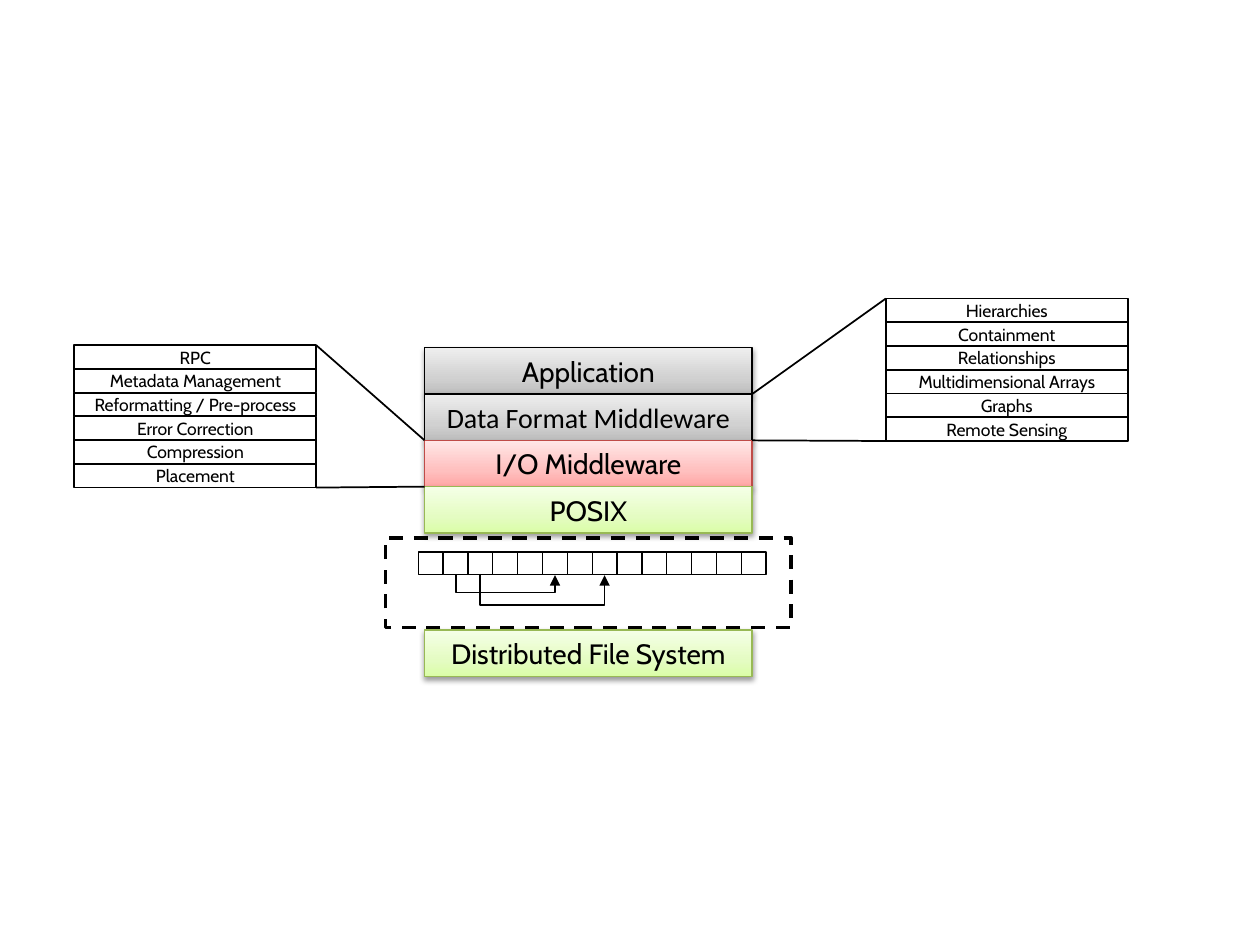
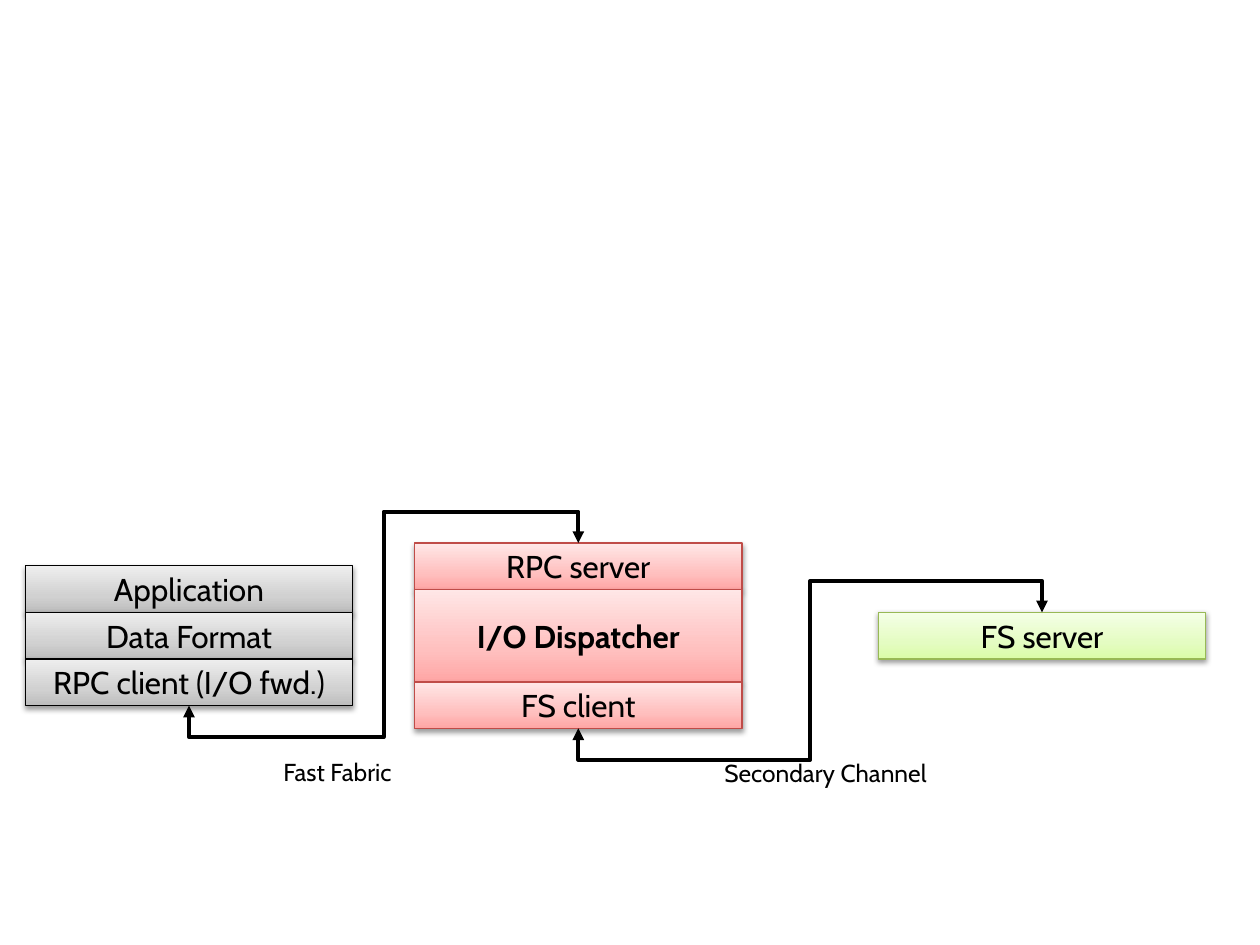
from collections import namedtuple
from copy import deepcopy

from pptx import Presentation
from pptx.dml.color import RGBColor as Rgb
from pptx.enum.dml import MSO_LINE as Dash
from pptx.enum.shapes import MSO_CONNECTOR as Link, MSO_SHAPE as Preset
from pptx.enum.text import MSO_ANCHOR as Anchor, PP_ALIGN as Align
from pptx.oxml.ns import qn
from pptx.oxml.xmlchemy import OxmlElement as Element
from pptx.util import Inches, Pt

COLUMNS, ROWS = 100, 75
UNIT = Inches(0.1)
FONT = "Cabin"
TOP, BOTTOM = 0, 2

COLOURS = {"ink": "000000", "paper": "FFFFFF", "red_edge": "BF4C48", "green_edge": "98B955"}
BLENDS = {
    "grey": ("BDBDBD", "D1D1D1", "EEEEEE"),
    "red": ("FFA6A5", "FFC0BF", "FFE7E7"),
    "green": ("DAFDA7", "E4FCC2", "F5FFE7"),
}
EDGES = {"grey": "ink", "red": "red_edge", "green": "green_edge"}
STOPS = (0, 0.35, 1)

Layer = namedtuple("Layer", "text blend font bold weight", defaults=(FONT, False, 1))


class Box(namedtuple("Box", "left top width height")):
    @property
    def right(self):
        return self.left + self.width

    @property
    def bottom(self):
        return self.top + self.height

    def inner(self, left, top, width, height):
        return Box(self.left + left, self.top + top, width, height)

    def split_rows(self, weights):
        unit = self.height / sum(weights)
        return [
            self.inner(0, unit * sum(weights[:i]), self.width, unit * weight)
            for i, weight in enumerate(weights)
        ]

    def split_columns(self, count):
        width = self.width / count
        return [self.inner(i * width, 0, width, self.height) for i in range(count)]


def grid(*lengths):
    return [round(length * UNIT) for length in lengths]


def ink(name):
    return Rgb.from_string(COLOURS[name])


def child(parent, tag, **attributes):
    element = Element(tag)
    for name, value in attributes.items():
        element.set(name, str(value))
    parent.append(element)
    return element


def set_line(shape, width, colour="ink"):
    shape.line.color.rgb = ink(colour)
    shape.line.width = Pt(width)


def write(shape, text, size, font=FONT, bold=False, align=Align.CENTER):
    para = shape.text_frame.paragraphs[0]
    para.text = text
    para.alignment = align
    para.font.name, para.font.size, para.font.bold = font, Pt(size), bold
    para.font.color.rgb = ink("ink")


def rectangle(page, box, line_width, fill="paper", edge="ink"):
    shape = page.shapes.add_shape(Preset.RECTANGLE, *grid(*box))
    shape.shadow.inherit = False
    shape.text_frame.vertical_anchor = Anchor.MIDDLE
    set_line(shape, line_width, edge)
    if fill:
        shape.fill.solid()
        shape.fill.fore_color.rgb = ink(fill)
    else:
        shape.fill.background()
    return shape


def shade(shape, blend):
    shape.fill.gradient()
    shape.fill.gradient_angle = 90
    stop_list = next(shape._element.spPr.iter(qn("a:gsLst")))
    stop_list.append(deepcopy(stop_list[0]))
    for stop, position, colour in zip(shape.fill.gradient_stops, STOPS, BLENDS[blend]):
        stop.position = position
        stop.color.rgb = Rgb.from_string(colour)


def drop_shadow(shape):
    effects = shape._element.spPr.find(qn("a:effectLst"))
    shadow = child(effects, "a:outerShdw", blurRad=Pt(3.1), dist=Pt(1.6), dir=5400000, rotWithShape=0)
    colour = child(shadow, "a:srgbClr", val=COLOURS["ink"])
    child(colour, "a:alpha", val=38000)


def stack(page, box, layers, size):
    shapes = []
    for layer, row in zip(layers, box.split_rows([layer.weight for layer in layers])):
        shape = rectangle(page, row, 0.75, edge=EDGES[layer.blend])
        shade(shape, layer.blend)
        drop_shadow(shape)
        write(shape, layer.text, size, layer.font, layer.bold)
        shapes.append(shape)
    return shapes


def finish_connector(connector, width, ends=()):
    set_line(connector, width)
    properties = connector._element.spPr
    for end in ends:
        child(properties.find(qn("a:ln")), f"a:{end}End", type="triangle")
    child(properties, "a:effectLst")


def straight(page, start, end):
    connector = page.shapes.add_connector(Link.STRAIGHT, *grid(*start, *end))
    finish_connector(connector, 1)


def elbow(page, source, target, sites, lead, width, ends):
    connector = page.shapes.add_connector(Link.ELBOW, 0, 0, 0, 0)
    connector.begin_connect(source, sites[0])
    connector.end_connect(target, sites[1])
    start_x, start_y = connector.begin_x, connector.begin_y
    end_x, end_y = connector.end_x, connector.end_y
    run, across = max(abs(end_y - start_y), Inches(0.01)), abs(end_x - start_x)
    share = lead * UNIT / run
    same_side = sites[0] == sites[1]
    bends = [share] if same_side else [-share, 0.5, 1 + share]

    connector.left = (start_x + end_x - run) // 2
    connector.top = (start_y + end_y - across) // 2
    connector.width, connector.height = run, across
    frame = connector._element.spPr.find(qn("a:xfrm"))
    frame.set("rot", "16200000")
    frame.set("flipH", "1")
    frame.set("flipV", "1" if end_x < start_x else "0")

    geometry = connector._element.spPr.find(qn("a:prstGeom"))
    geometry.set("prst", "bentConnector3" if same_side else "bentConnector5")
    guides = geometry.find(qn("a:avLst"))
    for number, bend in enumerate(bends, 1):
        child(guides, "a:gd", name=f"adj{number}", fmla=f"val {round(bend * 100000)}")
    finish_connector(connector, width, ends)


def feature_list(page, box, features, layer):
    on_left = box.right < layer.left
    list_edge, layer_edge = (box.right, layer.left) if on_left else (box.left, layer.right)
    straight(page, (list_edge, box.top), (layer_edge, layer.top))
    straight(page, (list_edge, box.bottom), (layer_edge, layer.bottom))
    for feature, row in zip(features, box.split_rows([1] * len(features))):
        write(rectangle(page, row, 1), feature, 10)


def block_store(page, box):
    strip = box.inner(2.6, 1.1, 27.6, 1.8)
    blocks = [rectangle(page, cell, 0.75) for cell in strip.split_columns(14)]
    for source, target, drop in ((1, 5, 1.5), (2, 7, 2.5)):
        elbow(page, blocks[source], blocks[target], (BOTTOM, BOTTOM), drop, 1, ["tail"])
    frame = rectangle(page, box, 2, fill=None)
    frame.line.dash_style = Dash.DASH


def label(page, box, text):
    note = page.shapes.add_textbox(*grid(*box))
    note.text_frame.word_wrap = True
    write(note, text, 14, align=Align.LEFT)


def software_stack(page, box):
    layers = [
        Layer("Application", "grey"),
        Layer("Data Format Middleware", "grey", "Calibri"),
        Layer("I/O Middleware", "red"),
        Layer("POSIX", "green"),
    ]
    core = box.inner(33.7, 27.6, 26, 14.7)
    _, format_row, io_row, _ = core.split_rows([1] * len(layers))
    stack(page, box.inner(33.7, 50, 26, 3.7), [Layer("Distributed File System", "green")], 16)
    stack(page, core, layers, 16)
    block_store(page, box.inner(30.6, 42.7, 32.2, 7.1))
    feature_list(
        page, box.inner(5.9, 27.4, 19.2, 11.3),
        ["RPC", "Metadata Management", "Reformatting / Pre-process",
         "Error Correction", "Compression", "Placement"],
        io_row,
    )
    feature_list(
        page, box.inner(70.3, 23.7, 19.2, 11.3),
        ["Hierarchies", "Containment", "Relationships",
         "Multidimensional Arrays", "Graphs", "Remote Sensing"],
        format_row,
    )


def forwarding_path(page, box):
    client = stack(page, box.inner(2, 44.9, 26, 11.1), [
        Layer("Application", "grey"),
        Layer("Data Format", "grey"),
        Layer("RPC client (I/O fwd.)", "grey"),
    ], 18)
    dispatcher = stack(page, box.inner(32.9, 43.1, 26, 14.7), [
        Layer("RPC server", "red"),
        Layer("I/O Dispatcher", "red", bold=True, weight=2),
        Layer("FS client", "red"),
    ], 18)
    server = stack(page, box.inner(69.7, 48.6, 26, 3.7), [Layer("FS server", "green")], 18)
    for source, target in ((dispatcher, client), (server, dispatcher)):
        elbow(page, source[0], target[-1], (TOP, BOTTOM), 2.5, 2.25, ["head", "tail"])
    label(page, box.inner(21.5, 59.6, 13.4, 3.4), "Fast Fabric")
    label(page, box.inner(56.5, 59.7, 18.1, 3.4), "Secondary Channel")


def main():
    deck = Presentation()
    deck.slide_width, deck.slide_height = COLUMNS * UNIT, ROWS * UNIT
    for build in (software_stack, forwarding_path):
        page = deck.slides.add_slide(deck.slide_layouts[6])
        build(page, Box(0, 0, COLUMNS, ROWS))
    deck.save("out.pptx")


if __name__ == "__main__":
    main()
